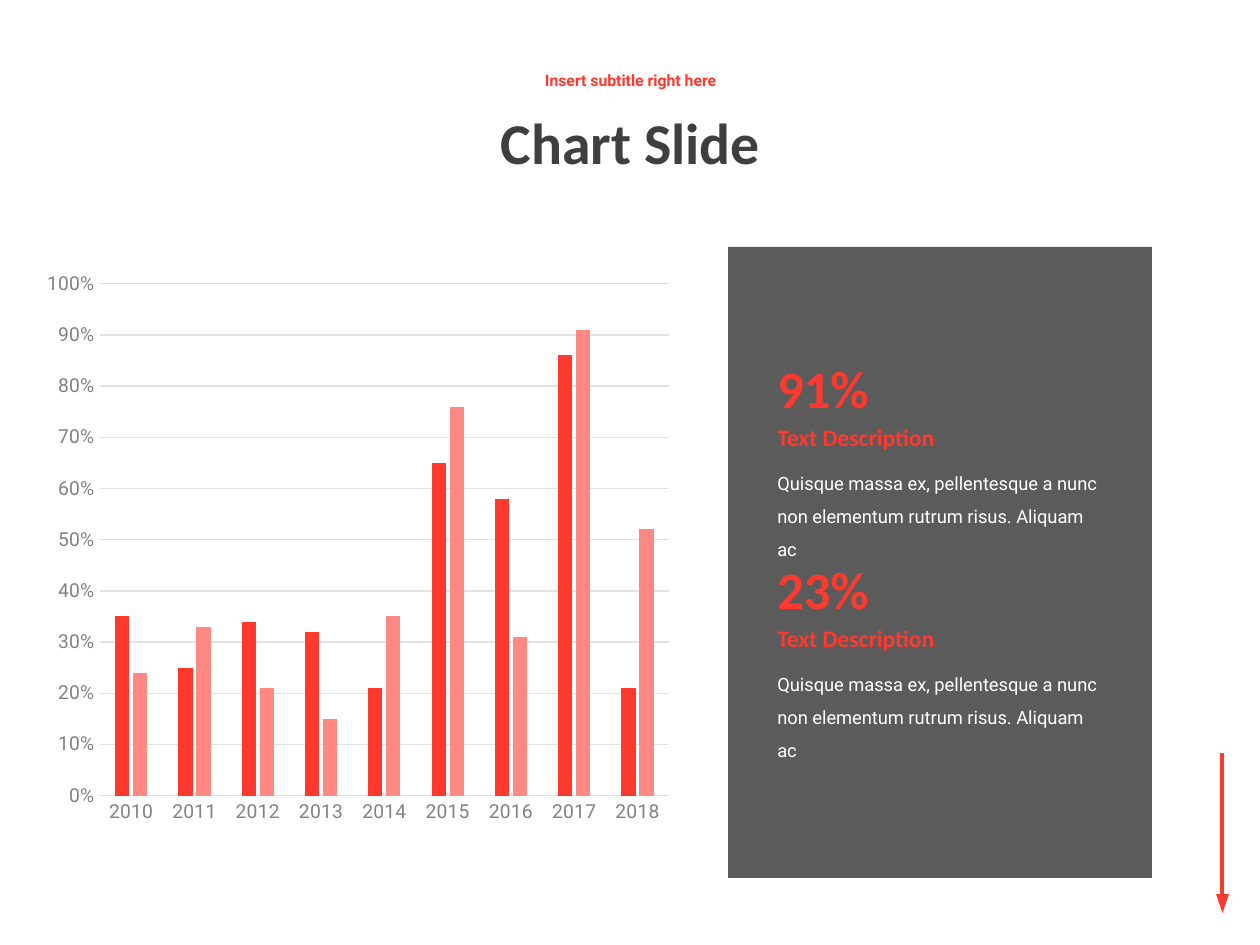
from lxml import etree
from pptx import Presentation
from pptx.chart.data import CategoryChartData
from pptx.dml.color import RGBColor
from pptx.enum.chart import XL_CHART_TYPE as ChartType, XL_TICK_MARK as TickMark
from pptx.enum.shapes import MSO_SHAPE as Shape
from pptx.enum.text import MSO_ANCHOR as Anchor, MSO_AUTO_SIZE as AutoSize, PP_ALIGN as Align
from pptx.oxml import parse_xml
from pptx.oxml.ns import nsdecls, qn
from pptx.util import Pt

PX = 7257.14  # EMU per px, 126 px to the inch
RED, PINK, DARK, GREY, RULE, WHITE = "FF392E", "FF8882", "3F3F3F", "828282", "E2E2E2", "FFFFFF"


def px(*lengths):
    return [round(length * PX) for length in lengths]


def set_font(font, name, size, color, bold=False):
    font.name, font.size, font.bold = name, Pt(size), bold
    font.color.rgb = RGBColor.from_string(color)


deck = Presentation()
deck.slide_width, deck.slide_height = px(1260, 945)
page = deck.slides.add_slide(deck.slide_layouts[5])

# Title and subtitle
title = page.shapes.title
title.left, title.top, title.width, title.height = px(276, 81, 709, 130)
subtitle = page.shapes.add_textbox(*px(276, 57, 709, 48))
for box, text, name, size, color in [
    (title, "Chart Slide", "Calibri", 33, DARK),
    (subtitle, "Insert subtitle right here", "Roboto", 9, RED),
]:
    frame = box.text_frame
    frame.text = text
    frame.word_wrap = True
    frame.auto_size = AutoSize.NONE
    frame.vertical_anchor = Anchor.MIDDLE
    para = frame.paragraphs[0]
    para.alignment = Align.CENTER
    para.line_spacing = 0.9
    set_font(para.font, name, size, color, bold=True)

# Panel and down arrow
for kind, bounds, color, turn in [
    (Shape.RECTANGLE, (728, 247, 424, 631), DARK, 0),
    (Shape.RECTANGLE, (1220, 753, 4, 142), RED, 0),
    (Shape.ISOSCELES_TRIANGLE, (1216, 894, 13, 19), RED, 180),
]:
    shape = page.shapes.add_shape(kind, *px(*bounds))
    shape.shadow.inherit = False
    shape.fill.solid()
    shape.fill.fore_color.rgb = RGBColor.from_string(color)
    shape.line.fill.background()
    shape.rotation = turn
    if color == DARK:
        color_node = shape.fill._xPr.find(qn("a:solidFill"))[0]
        etree.SubElement(color_node, qn("a:alpha"), val="85000")

# Column chart
data = CategoryChartData(number_format="0%")
data.categories = [str(year) for year in range(2010, 2019)]
data.add_series("Series 1", [0.35, 0.25, 0.34, 0.32, 0.21, 0.65, 0.58, 0.86, 0.21])
data.add_series("Series 2", [0.24, 0.33, 0.21, 0.15, 0.35, 0.76, 0.31, 0.91, 0.52])
chart = page.shapes.add_chart(ChartType.COLUMN_CLUSTERED, *px(42, 272, 640, 582), data).chart
chart.has_title = False
chart.has_legend = False
set_font(chart.font, "Roboto", 11, DARK)

plot = chart.plots[0]
plot.gap_width, plot.overlap = 219, -27
plot.vary_by_categories = False
for series, color in zip(plot.series, (RED, PINK)):
    series.format.fill.solid()
    series.format.fill.fore_color.rgb = RGBColor.from_string(color)

years, percents = chart.category_axis, chart.value_axis
for axis in (years, percents):
    axis.major_tick_mark = axis.minor_tick_mark = TickMark.NONE
    set_font(axis.tick_labels.font, "Roboto", 11, GREY)
percents.minimum_scale, percents.maximum_scale, percents.major_unit = 0, 1, 0.1
percents.tick_labels.number_format = "0%"
percents.tick_labels.number_format_is_linked = False
percents.format.line.fill.background()
for line in (years.format.line, percents.major_gridlines.format.line):
    line.color.rgb = RGBColor.from_string(RULE)
    line.width = Pt(0.75)

plot_area = chart._chartSpace.chart.plotArea
for old_layout in plot_area.findall(qn("c:layout")):
    plot_area.remove(old_layout)
plot_area.insert(0, parse_xml(
    f'<c:layout {nsdecls("c")}><c:manualLayout><c:layoutTarget val="inner"/>'
    '<c:xMode val="edge"/><c:yMode val="edge"/><c:x val="0.09"/><c:y val="0.02"/>'
    '<c:w val="0.89"/><c:h val="0.88"/></c:manualLayout></c:layout>'))

# Two figures with their descriptions
description = "Quisque massa ex, pellentesque a nunc non elementum rutrum risus. Aliquam ac"
for top, figure in [(350, "91%"), (551, "23%")]:
    for text, offset, width, height, name, size, color, spacing in [
        (figure, 0, 203, 77, "Calibri", 30, RED, 1.0),
        ("Text Description", 67, 276, 42, "Calibri", 13.5, RED, 1.0),
        (description, 105, 352, 76, "Roboto", 10.5, WHITE, 1.5),
    ]:
        box = page.shapes.add_textbox(*px(765, top + offset, width, height))
        frame = box.text_frame
        frame.text = text
        frame.word_wrap = True
        frame.auto_size = AutoSize.SHAPE_TO_FIT_TEXT
        para = frame.paragraphs[0]
        para.line_spacing = spacing
        set_font(para.font, name, size, color, bold=color == RED)

deck.save("out.pptx")
